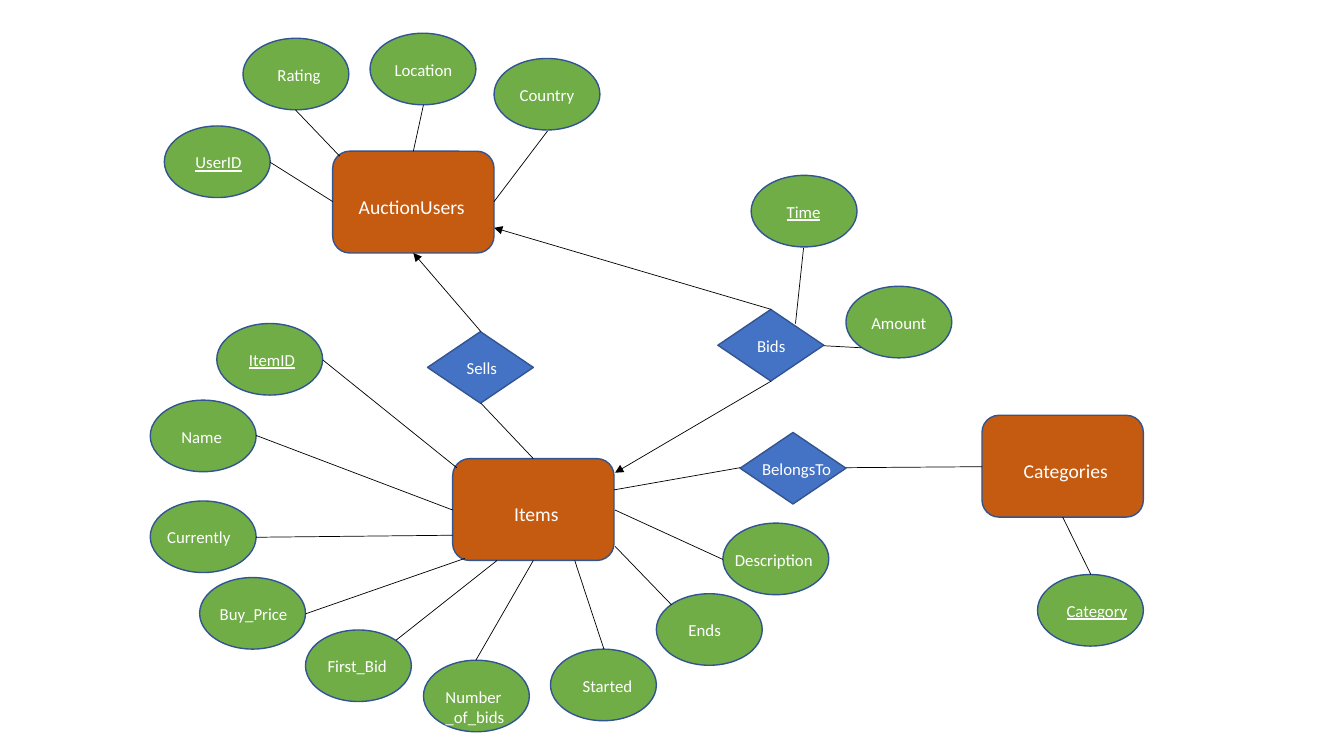
"""Draw the entity-relationship diagram of an auction database."""
from lxml.etree import SubElement
from pptx import Presentation
from pptx.dml.color import RGBColor
from pptx.enum.shapes import MSO_CONNECTOR, MSO_SHAPE as SHAPE
from pptx.enum.text import MSO_AUTO_SIZE as FIT, PP_ALIGN as ALIGN
from pptx.oxml.ns import qn
from pptx.util import Inches, Pt

ORANGE = RGBColor(0xC5, 0x5A, 0x11)
GREEN = RGBColor(0x70, 0xAD, 0x47)
BLUE = RGBColor(0x44, 0x72, 0xC4)
OUTLINE = RGBColor(0x32, 0x54, 0x91)
WHITE = RGBColor(0xFF, 0xFF, 0xFF)
BLACK = RGBColor(0x00, 0x00, 0x00)

COL = ROW = Inches(1)

deck = Presentation()
deck.slide_width, deck.slide_height = int(13.33 * COL), int(7.5 * ROW)
diagram = deck.slides.add_slide(deck.slide_layouts[6])


def write(text, x, y, width, height, size=12, align=ALIGN.LEFT, underline=False):
    label = diagram.shapes.add_textbox(
        int(x * COL), int(y * ROW), int(width * COL), int(height * ROW))
    frame = label.text_frame
    frame.word_wrap = True
    frame.auto_size = FIT.SHAPE_TO_FIT_TEXT
    paragraph = frame.paragraphs[0]
    paragraph.alignment = align
    run = paragraph.add_run()
    run.text = text
    run.font.name = "Calibri"
    run.font.size = Pt(size)
    run.font.color.rgb = WHITE
    run.font.underline = underline


# name, column, row, label inset, label width, label format
centred = {"align": ALIGN.CENTER}
key = {"underline": True}

entities = [
    ("AuctionUsers", 3.3, 1.5, 0.16, 1.34, {}),
    ("Items", 4.49, 4.55, 0.16, 1.34, centred),
    ("Categories", 9.74, 4.12, 0.16, 1.34, centred),
]
attributes = [
    ("UserID", 1.63, 1.25, 0.21, 0.69, key),
    ("Rating", 2.41, 0.38, 0.21, 0.69, centred),
    ("Location", 3.67, 0.33, 0.11, 0.84, centred),
    ("Country", 4.9, 0.58, 0.13, 0.79, centred),
    ("ItemID", 2.15, 3.21, 0.22, 0.69, key),
    ("Name", 1.49, 3.97, 0.21, 0.69, {}),
    ("Currently", 1.49, 4.97, 0.07, 0.83, {}),
    ("Buy_Price", 1.98, 5.73, 0.1, 0.91, {}),
    ("First_Bid", 3.03, 6.25, 0.12, 0.79, {}),
    ("Number_of_bids", 4.2, 6.55, 0.12, 0.79, {}),
    ("Started", 5.46, 6.44, 0.22, 0.69, {}),
    ("Ends", 6.51, 5.89, 0.22, 0.69, {}),
    ("Description", 7.17, 5.19, 0.02, 1.05, {}),
    ("Time", 7.45, 1.74, 0.1, 0.84, centred | key),
    ("Amount", 8.39, 2.84, 0.13, 0.79, centred),
    ("Category", 10.29, 5.7, 0.13, 0.92, centred | key),
]
relationships = [
    ("Sells", 4.24, 3.29, 0.29, 0.52, {}),
    ("Bids", 7.12, 3.07, 0.29, 0.52, {}),
    ("BelongsTo", 7.34, 4.29, 0.12, 0.94, {}),
]
groups = [
    (entities, SHAPE.ROUNDED_RECTANGLE, ORANGE, 1.6, 1.01, 0.38, 0.34, 14),
    (attributes, SHAPE.OVAL, GREEN, 1.05, 0.71, 0.21, 0.3, 12),
    (relationships, SHAPE.DIAMOND, BLUE, 1.05, 0.71, 0.21, 0.3, 12),
]
for members, outline, fill, width, height, drop, line_height, size in groups:
    for name, x, y, inset, label_width, style in members:
        node = diagram.shapes.add_shape(
            outline, int(x * COL), int(y * ROW), int(width * COL), int(height * ROW))
        node.shadow.inherit = False
        node.fill.solid()
        node.fill.fore_color.rgb = fill
        node.line.color.rgb = OUTLINE
        node.line.width = Pt(1)
        label_height = 0.5 if name == "Number_of_bids" else line_height
        write(name, x + inset, y + drop, label_width, label_height, size=size, **style)

plain_links = [
    (2.68, 1.61, 3.3, 2), (2.93, 1.09, 3.37, 1.55),
    (4.2, 1.04, 4.1, 1.5), (5.43, 1.3, 4.9, 2),
    (5.29, 4.55, 4.77, 4), (3.2, 3.57, 4.53, 4.64),
    (2.54, 4.32, 4.49, 5.06), (2.54, 5.33, 4.49, 5.31),
    (3.03, 6.09, 4.61, 5.54), (3.93, 6.35, 4.93, 5.56),
    (4.72, 6.55, 5.29, 5.56), (5.99, 6.44, 5.7, 5.56),
    (6.66, 6, 6.1, 5.42), (7.17, 5.55, 6.1, 5.06),
    (7.97, 2.46, 7.89, 3.21), (8.54, 3.45, 8.17, 3.43),
    (7.34, 4.64, 6.09, 4.86), (9.74, 4.63, 8.39, 4.64),
    (10.82, 5.7, 10.54, 5.13),
]
arrow_links = [
    (4.77, 3.29, 4.1, 2.51), (7.65, 3.07, 4.9, 2.26), (7.65, 3.78, 6.1, 4.69),
]
for links, has_arrow in ((plain_links, False), (arrow_links, True)):
    for x1, y1, x2, y2 in links:
        link = diagram.shapes.add_connector(
            MSO_CONNECTOR.STRAIGHT,
            int(x1 * COL), int(y1 * ROW), int(x2 * COL), int(y2 * ROW))
        link.line.color.rgb = BLACK
        link.line.width = Pt(0.5)
        properties = link._element.spPr
        if has_arrow:
            SubElement(properties.find(qn("a:ln")), qn("a:tailEnd"), type="triangle")
        SubElement(properties, qn("a:effectLst"))

deck.save("out.pptx")
